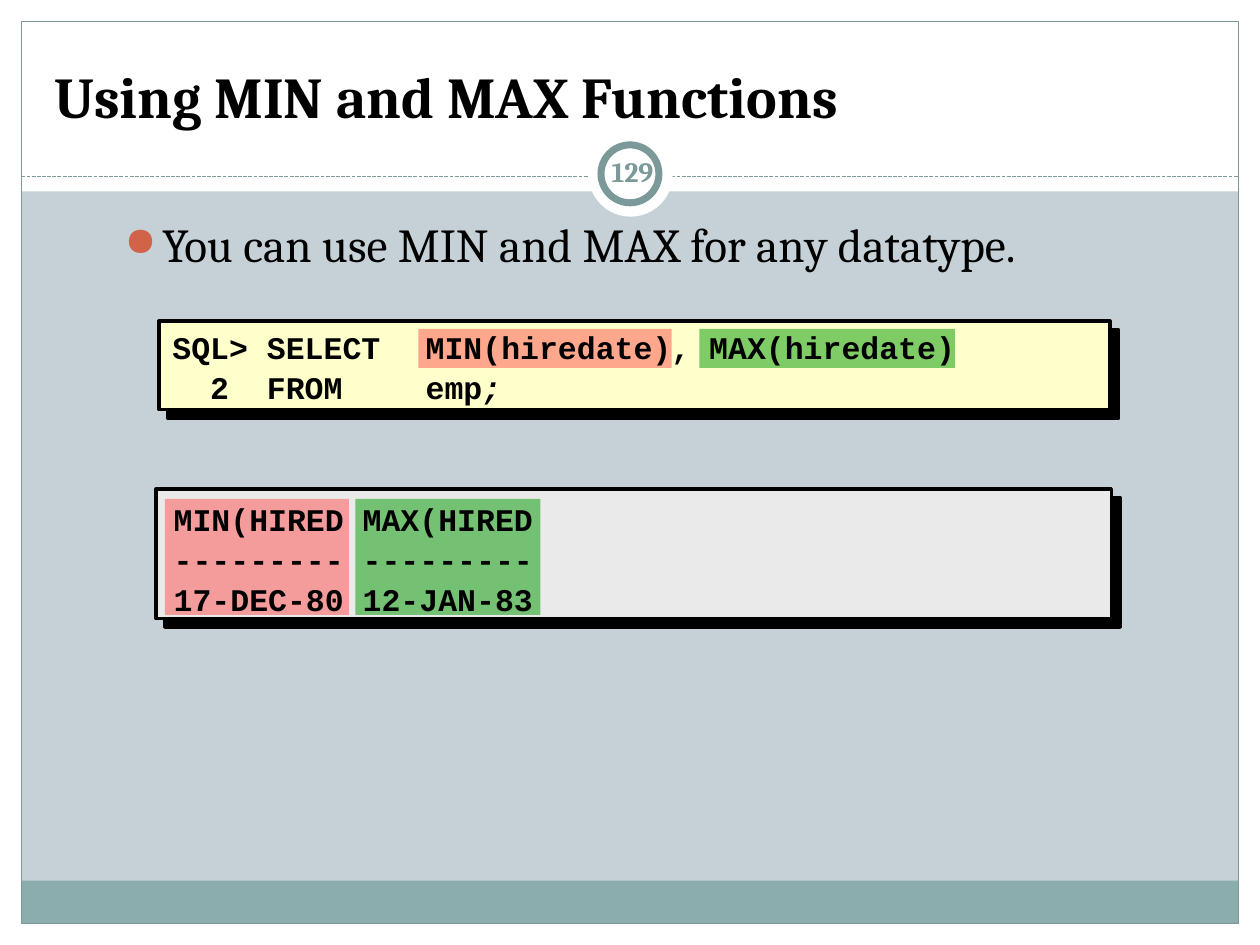
import pptx
import pptx.util
import pptx.dml.color
import pptx.enum.dml
import pptx.enum.shapes
import pptx.enum.text
import pptx.oxml
import pptx.oxml.ns
import lxml.etree

Pt = pptx.util.Pt
SHAPE = pptx.enum.shapes.MSO_SHAPE
ANCHOR = pptx.enum.text.MSO_ANCHOR
qn = pptx.oxml.ns.qn

deck = pptx.Presentation()
deck.slide_width = pptx.util.Inches(10)
deck.slide_height = pptx.util.Inches(7.5)
column = deck.slide_width / 10
row = deck.slide_height / 7.5
page = deck.slides.add_slide(deck.slide_layouts[5])


def colour(value):
    return pptx.dml.color.RGBColor.from_string(value)


def add_block(kind, place, fill=None, line=None, width=0.75):
    left, top, across, down = place
    block = page.shapes.add_shape(kind, int(left * column), int(top * row),
                                  int(across * column), int(down * row))
    block.shadow.inherit = False
    if fill:
        block.fill.solid()
        block.fill.fore_color.rgb = colour(fill)
    else:
        block.fill.background()
    if line:
        block.line.color.rgb = colour(line)
        block.line.width = Pt(width)
    else:
        block.line.fill.background()
    return block


page.background.fill.solid()
page.background.fill.fore_color.rgb = colour("C5D1D7")

margin = 0.17
inner_width = 10 - 2 * margin
for strip in [(0, 7.5 - margin, 10, margin), (0, 0, 10, 1.52),
              (0, 0, margin, 7.5), (10 - margin, 0, margin, 7.5)]:
    add_block(SHAPE.RECTANGLE, strip, "FFFFFF")
add_block(SHAPE.RECTANGLE, (margin, 6.99, inner_width, 0.34), "8CADAE")
add_block(SHAPE.RECTANGLE, (margin, margin, inner_width, 7.5 - 2 * margin), line="7C999A")

divider = page.shapes.add_connector(
    pptx.enum.shapes.MSO_CONNECTOR.STRAIGHT, int(margin * column), int(1.4 * row),
    int((10 - margin) * column), int(1.4 * row))
divider.line.color.rgb = colour("7C999A")
divider.line.width = Pt(0.75)
divider.line.dash_style = pptx.enum.dml.MSO_LINE.SQUARE_DOT
lxml.etree.SubElement(divider._element.spPr, qn("a:effectLst"))

add_block(SHAPE.OVAL, (4.67, 1.05, 0.67, 0.67), "FFFFFF")
add_block(SHAPE.OVAL, (4.77, 1.15, 0.46, 0.46), "FFFFFF", "7C999A", 4)

for place, fill in [((1.26, 2.55, 7.55, 0.7), "FFFFCC"),
                    ((1.24, 3.88, 7.58, 1.03), "EAEAEA")]:
    panel = add_block(SHAPE.RECTANGLE, place, fill, "000000", 2)
    effects = panel._element.spPr.find(qn("a:effectLst"))
    shadow = lxml.etree.SubElement(effects, qn("a:outerShdw"), dist=str(Pt(7.1)),
                                   dir="2700000", algn="ctr", rotWithShape="0")
    lxml.etree.SubElement(shadow, qn("a:srgbClr"), val="000000")

for place, fill in [((3.32, 2.61, 2.01, 0.31), "FF5050"),
                    ((1.31, 3.96, 1.46, 0.92), "FF5050"),
                    ((5.55, 2.61, 2.03, 0.31), "009900"),
                    ((2.82, 3.96, 1.47, 0.92), "009900")]:
    highlight = add_block(SHAPE.RECTANGLE, place, fill)
    tint = highlight._element.spPr.find(qn("a:solidFill"))[0]
    lxml.etree.SubElement(tint, qn("a:alpha"), val="50000")

title = page.shapes.title
page.shapes._spTree.append(title._element)
title.left, title.top = int(0.33 * column), int(0.25 * row)
title.width, title.height = int(9.33 * column), int(0.83 * row)

texts = [
    (title, None, ["Using MIN and MAX Functions"],
     "Cambria", 33, "000000", True, ANCHOR.BOTTOM, 0.1, []),
    (None, (0.89, 1.66, 8.36, 0.55), ["You can use MIN and MAX for any datatype."],
     "Cambria", 27, "000000", False, ANCHOR.TOP, 0.1, []),
    (None, (1.27, 2.54, 7.58, 0.73),
     ["SQL> SELECT\tMIN(hiredate), MAX(hiredate)", "  2  FROM\temp;"],
     "Courier New", 18, "000000", True, ANCHOR.MIDDLE, 0.1, [0.75, 2.01]),
    (None, (1.28, 3.9, 7.55, 1),
     ["MIN(HIRED MAX(HIRED", "--------- ---------", "17-DEC-80 12-JAN-83"],
     "Courier New", 18, "000000", True, ANCHOR.TOP, 0.1, [2, 3.38, 4.62]),
    (None, (4.77, 1.12, 0.5, 0.48), ["129"],
     "Cambria", 16, "7C999A", True, ANCHOR.MIDDLE, 0.05, []),
]
for box, place, lines, face, size, ink, bold, anchor, inset, tabs in texts:
    if box is None:
        left, top, across, down = place
        box = page.shapes.add_textbox(int(left * column), int(top * row),
                                      int(across * column), int(down * row))
    frame = box.text_frame
    frame.word_wrap = True
    frame.auto_size = pptx.enum.text.MSO_AUTO_SIZE.NONE
    frame.vertical_anchor = anchor
    frame.margin_left = frame.margin_right = int(inset * column)
    frame.margin_top = frame.margin_bottom = int(0.05 * row)
    for index, line in enumerate(lines):
        para = frame.paragraphs[0] if index == 0 else frame.add_paragraph()
        para.alignment = pptx.enum.text.PP_ALIGN.LEFT
        body, mark, rest = line.partition(";")
        para.add_run().text = body
        if mark:
            span = para.add_run()
            span.text = mark
            span.font.italic = True
        if tabs:
            para.line_spacing = 1.06
            stops = lxml.etree.SubElement(para._p.get_or_add_pPr(), qn("a:tabLst"))
            for stop in tabs:
                lxml.etree.SubElement(stops, qn("a:tab"), pos=str(int(stop * column)), algn="l")
        if line.startswith("You can"):
            settings = para._p.get_or_add_pPr()
            settings.set("marL", str(int(0.3 * column)))
            settings.set("indent", str(int(-0.3 * column)))
            bullet_colour = lxml.etree.SubElement(settings, qn("a:buClr"))
            lxml.etree.SubElement(bullet_colour, qn("a:srgbClr"), val="D16349")
            lxml.etree.SubElement(settings, qn("a:buSzPct"), val="85000")
            lxml.etree.SubElement(settings, qn("a:buChar"), char="●")
        if line == "129":
            para.alignment = pptx.enum.text.PP_ALIGN.CENTER
        para.font.name = face
        para.font.size = Pt(size)
        para.font.bold = bold
        para.font.color.rgb = colour(ink)

deck.save("out.pptx")
